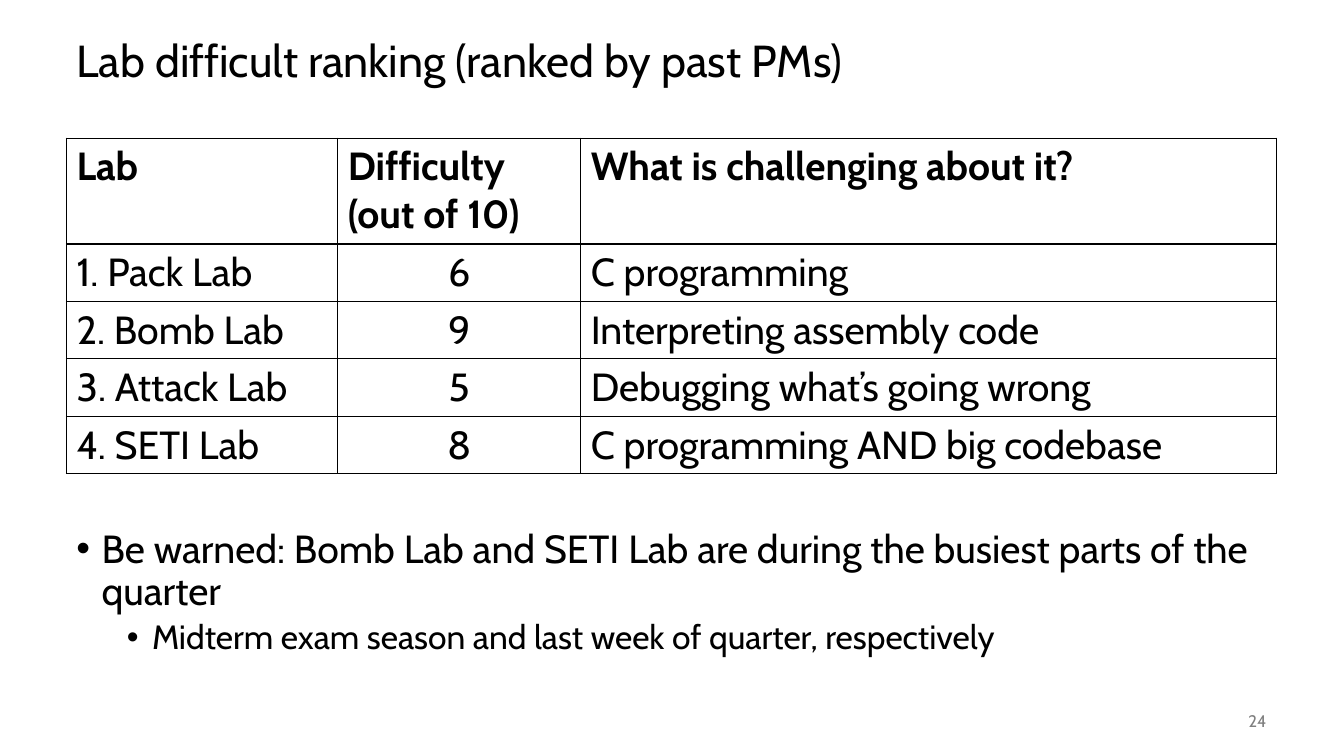
"""Build a slide ranking labs by difficulty, with a table and a warning."""
import pptx
import pptx.dml.color
import pptx.enum.text
import pptx.oxml
import pptx.oxml.ns
import pptx.util

WIDTH, HEIGHT = 13.33, 7.5
MARGIN, COLUMN, ROW = 0.66, 1, 0.25
BLACK, GRAY = "000000", "808080"
ALIGN = pptx.enum.text.PP_ALIGN
ANCHOR = pptx.enum.text.MSO_ANCHOR
INCH = pptx.util.Inches

LABS = [
    ("Lab", "Difficulty (out of 10)", "What is challenging about it?"),
    ("1. Pack Lab", "6", "C programming"),
    ("2. Bomb Lab", "9", "Interpreting assembly code"),
    ("3. Attack Lab", "5", "Debugging what’s going wrong"),
    ("4. SETI Lab", "8", "C programming AND big codebase"),
]
LAB_COLUMNS = (2.69, 2.41, 6.9)
HEADER_ROWS, LAB_ROWS = 4.2, 2.28


def color(hex_value):
    """Turn a hex string into a colour."""
    return pptx.dml.color.RGBColor.from_string(hex_value)


def grid(col, row, cols, rows):
    """Turn grid columns and rows into left, top, width and height."""
    return (INCH(MARGIN + col * COLUMN), INCH(row * ROW),
            INCH(cols * COLUMN), INCH(rows * ROW))


def apply(target, formats):
    """Set attributes from a dict of format values."""
    for name, value in formats.items():
        setattr(target, name, value)


def write(p, text, size, hex_value=BLACK, bold=False, **formats):
    """Fill a paragraph with one formatted run."""
    apply(p, formats)
    r = p.add_run()
    r.text = text
    apply(r.font, {"name": "Cabin", "size": pptx.util.Pt(size), "bold": bold})
    r.font.color.rgb = color(hex_value)


def add_text(s, place, anchor):
    """Add a wrapping text box and return its text frame."""
    tf = s.shapes.add_textbox(*grid(*place)).text_frame
    apply(tf, {"word_wrap": True, "vertical_anchor": anchor})
    return tf


def add_bullet(p, indent):
    """Give a paragraph a hanging bullet."""
    pPr = p._p.get_or_add_pPr()
    pPr.set("marL", str(INCH(indent)))
    pPr.set("indent", str(INCH(-0.25)))
    ns = pptx.oxml.ns.nsdecls("a")
    pPr.append(pptx.oxml.parse_xml(f'<a:buFont {ns} typeface="Arial"/>'))
    pPr.append(pptx.oxml.parse_xml(f'<a:buChar {ns} char="•"/>'))


def add_borders(cell):
    """Draw thin black lines on all sides of a cell."""
    ns = pptx.oxml.ns.nsdecls("a")
    for side in "LRTB":
        cell._tc.get_or_add_tcPr().append(pptx.oxml.parse_xml(
            f'<a:ln{side} {ns} w="{pptx.util.Pt(1)}"><a:solidFill>'
            f'<a:srgbClr val="{BLACK}"/></a:solidFill></a:ln{side}>'))


def add_lab_table(s, place):
    """Add the bordered table of labs."""
    table = s.shapes.add_table(len(LABS), len(LAB_COLUMNS), *grid(*place)).table
    apply(table, {"first_row": False, "horz_banding": False})
    for column, width in zip(table.columns, LAB_COLUMNS):
        column.width = INCH(width)
    for i, values in enumerate(LABS):
        table.rows[i].height = INCH((LAB_ROWS if i else HEADER_ROWS) * ROW)
        for j, value in enumerate(values):
            cell = table.cell(i, j)
            add_borders(cell)
            cell.fill.background()
            write(cell.text_frame.paragraphs[0], value, 28, bold=i == 0,
                  alignment=ALIGN.CENTER if i and j == 1 else ALIGN.LEFT)


def add_warning(s, place):
    """Add the bulleted warning below the table."""
    tf = add_text(s, place, ANCHOR.TOP)
    p = tf.paragraphs[0]
    add_bullet(p, 0.25)
    write(p, "Be warned: Bomb Lab and SETI Lab are during the busiest parts of the quarter",
          28, line_spacing=0.9)
    p = tf.add_paragraph()
    add_bullet(p, 0.75)
    write(p, "Midterm exam season and last week of quarter, respectively",
          24, level=1, line_spacing=0.9, space_before=pptx.util.Pt(5))


def main():
    """Build and save the slide."""
    prs = pptx.Presentation()
    apply(prs, {"slide_width": INCH(WIDTH), "slide_height": INCH(HEIGHT)})
    s = prs.slides.add_slide(prs.slide_layouts[6])
    title = add_text(s, (0, 1, 12, 3), ANCHOR.MIDDLE)
    write(title.paragraphs[0], "Lab difficult ranking (ranked by past PMs)",
          32, line_spacing=0.9)
    add_warning(s, (0, 20.8, 12, 6.2))
    number = add_text(s, (11, 27.8, 1, 1.6), ANCHOR.MIDDLE)
    write(number.paragraphs[0], "24", 12, GRAY, alignment=ALIGN.RIGHT)
    add_lab_table(s, (0, 5.48, 12, HEADER_ROWS + 4 * LAB_ROWS))
    prs.save("out.pptx")


if __name__ == "__main__":
    main()
